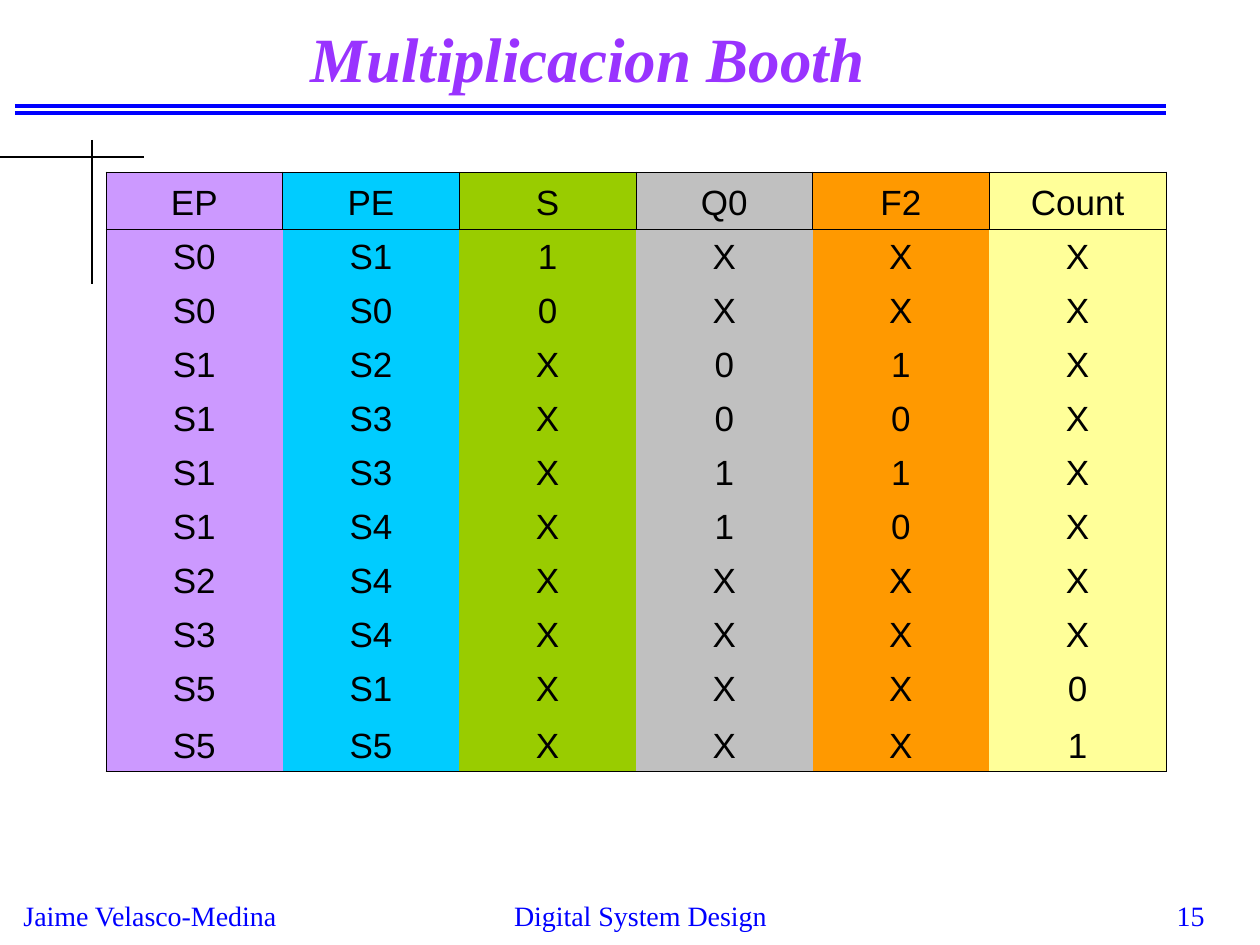
from lxml.etree import SubElement
from pptx import Presentation
from pptx.dml.color import RGBColor
from pptx.enum.shapes import MSO_CONNECTOR
from pptx.enum.text import MSO_ANCHOR, PP_ALIGN
from pptx.oxml.ns import qn
from pptx.util import Emu, Pt

BLUE, BLACK, PURPLE = "0000FF", "000000", "9933FF"
COLUMN_FILLS = ["CC99FF", "00CCFF", "99CC00", "C0C0C0", "FF9900", "FFFF99"]
STATE_ROWS = [
    ["EP", "PE", "S", "Q0", "F2", "Count"],
    ["S0", "S1", "1", "X", "X", "X"],
    ["S0", "S0", "0", "X", "X", "X"],
    ["S1", "S2", "X", "0", "1", "X"],
    ["S1", "S3", "X", "0", "0", "X"],
    ["S1", "S3", "X", "1", "1", "X"],
    ["S1", "S4", "X", "1", "0", "X"],
    ["S2", "S4", "X", "X", "X", "X"],
    ["S3", "S4", "X", "X", "X", "X"],
    ["S5", "S1", "X", "X", "X", "0"],
    ["S5", "S5", "X", "X", "X", "1"],
]
NO_TABLE_STYLE = "{2D5ABB26-0587-4C30-8999-92F81FD0307C}"


def px(length):
    return Emu(round(length * 914400 / 126))


def color(hex_string):
    return RGBColor.from_string(hex_string)


class SlideBuilder:
    """Draws styled lines, text and tables on the current slide."""

    heading_font = "Times New Roman"
    table_font = "Arial"
    border_width = Pt(0.45)

    def __init__(self, slide):
        self.slide = slide

    def line(self, x1, y1, x2, y2, hex_string, width):
        connector = self.slide.shapes.add_connector(
            MSO_CONNECTOR.STRAIGHT, px(x1), px(y1), px(x2), px(y2))
        connector.line.color.rgb = color(hex_string)
        connector.line.width = Pt(width)
        SubElement(connector._element.spPr, qn("a:effectLst"))

    def add_text(self, frame, text, font_name, size, hex_string, align, emphasis=False):
        paragraph = frame.paragraphs[0]
        paragraph.alignment = align
        run = paragraph.add_run()
        run.text = text
        run.font.name = font_name
        run.font.size = Pt(size)
        run.font.bold = run.font.italic = emphasis
        run.font.color.rgb = color(hex_string)

    def text_box(self, box, text, size, hex_string, align, anchor=MSO_ANCHOR.TOP,
                 emphasis=False):
        frame = self.slide.shapes.add_textbox(*map(px, box)).text_frame
        frame.word_wrap = True
        frame.vertical_anchor = anchor
        self.add_text(frame, text, self.heading_font, size, hex_string, align, emphasis)

    def border(self, cell, side, visible):
        properties = cell._tc.get_or_add_tcPr()
        edge = SubElement(properties, qn(f"a:ln{side}"), w=str(int(self.border_width)))
        if visible:
            fill = SubElement(edge, qn("a:solidFill"))
            SubElement(fill, qn("a:srgbClr"), val=BLACK)
        else:
            SubElement(edge, qn("a:noFill"))

    def table(self, left, top, width, row_heights, rows, fills):
        last_row, last_column = len(rows) - 1, len(fills) - 1
        frame = self.slide.shapes.add_table(
            len(rows), len(fills), px(left), px(top), px(width), px(sum(row_heights)))
        table = frame.table
        table.first_row = table.horz_banding = False
        table._tbl.tblPr.find(qn("a:tableStyleId")).text = NO_TABLE_STYLE
        for column in table.columns:
            column.width = px(width / len(fills))
        for row, height in zip(table.rows, row_heights):
            row.height = px(height)
        for i, values in enumerate(rows):
            for j, value in enumerate(values):
                cell = table.cell(i, j)
                cell.margin_left = cell.margin_right = px(1)
                cell.margin_top = cell.margin_bottom = px(6)
                cell.vertical_anchor = MSO_ANCHOR.BOTTOM
                header = i == 0
                self.border(cell, "L", header or j == 0)
                self.border(cell, "R", header or j == last_column)
                self.border(cell, "T", i <= 1)
                self.border(cell, "B", header or i == last_row)
                cell.fill.solid()
                cell.fill.fore_color.rgb = color(fills[j])
                self.add_text(cell.text_frame, value, self.table_font, 20, BLACK,
                              PP_ALIGN.CENTER)


def main():
    presentation = Presentation()
    presentation.slide_width, presentation.slide_height = px(1260), px(945)
    builder = SlideBuilder(presentation.slides.add_slide(presentation.slide_layouts[6]))

    for y in (106, 113):
        builder.line(15, y, 1166, y, BLUE, 2.25)
    builder.text_box((11, 892, 282, 47), "Jaime Velasco-Medina", 16, BLUE, PP_ALIGN.LEFT)
    builder.text_box((420, 892, 441, 42), "Digital System Design", 16, BLUE, PP_ALIGN.CENTER)
    builder.text_box((955, 892, 262, 32), "15", 16, BLUE, PP_ALIGN.RIGHT)
    builder.line(0, 157, 144, 157, BLACK, 1.5)
    builder.line(92, 140, 92, 284, BLACK, 1.5)
    builder.text_box((10, 10, 1155, 95), "Multiplicacion Booth", 36, PURPLE,
                     PP_ALIGN.CENTER, MSO_ANCHOR.MIDDLE, emphasis=True)
    builder.table(106, 172, 1060, [57] + [54] * 9 + [57], STATE_ROWS, COLUMN_FILLS)

    presentation.save("out.pptx")


if __name__ == "__main__":
    main()
